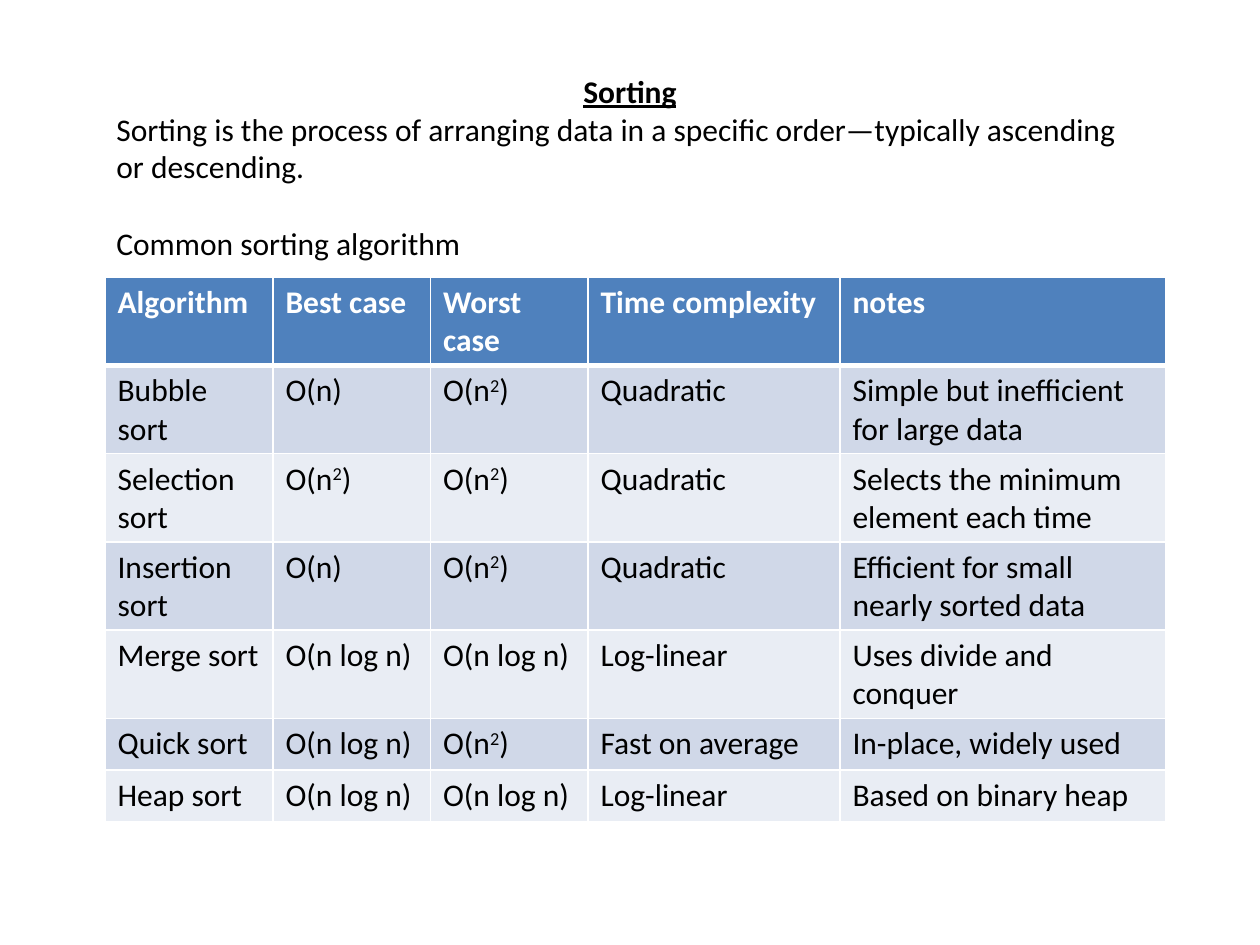
from lxml import etree
from pptx import Presentation
from pptx import util as u
from pptx.dml.color import RGBColor
from pptx.enum import text
from pptx.oxml.ns import qn

COLORS = {"ink": "000000", "paper": "FFFFFF", "header": "4F81BD",
          "odd": "D0D8E8", "even": "E9EDF4"}
FONT, SIZE = "Calibri", u.Pt(18)
UNIT = u.Inches(1) / 12
COLUMNS = [16, 15, 15, 24, 31]
ROW_HEIGHT = 4.9
DEFINITION = ("Sorting is the process of arranging data in a specific "
              "order—typically ascending or descending.")
ALGORITHMS = [
    ["Algorithm", "Best case", "Worst case", "Time complexity", "notes"],
    ["Bubble sort", "O(n)", "O(n^2^)", "Quadratic",
     "Simple but inefficient for large data"],
    ["Selection sort", "O(n^2^)", "O(n^2^)", "Quadratic",
     "Selects the minimum element each time"],
    ["Insertion sort", "O(n)", "O(n^2^)", "Quadratic",
     "Efficient for small nearly sorted data"],
    ["Merge sort", "O(n log n)", "O(n log n)", "Log-linear",
     "Uses divide and conquer"],
    ["Quick sort", "O(n log n)", "O(n^2^)", "Fast on average",
     "In-place, widely used"],
    ["Heap sort", "O(n log n)", "O(n log n)", "Log-linear",
     "Based on binary heap"],
]


def grid(*cells):
    """Turn grid counts into slide lengths."""
    return [u.Emu(round(cell * UNIT)) for cell in cells]


def add_words(paragraph, words, color="ink", bold=False, underline=False):
    """Add runs, raising the parts held between carets."""
    for index, part in enumerate(words.split("^")):
        run = paragraph.add_run()
        run.text = part
        run.font.name, run.font.size = FONT, SIZE
        run.font.bold, run.font.underline = bold, underline
        run.font.color.rgb = RGBColor.from_string(COLORS[color])
        if index % 2:
            run._r.get_or_add_rPr().set("baseline", "30000")


def add_border(cell, edge, points):
    """Draw one white edge of a cell."""
    line = etree.SubElement(cell._tc.get_or_add_tcPr(), qn(f"a:ln{edge}"),
                            w=str(u.Pt(points)))
    fill = etree.SubElement(line, qn("a:solidFill"))
    etree.SubElement(fill, qn("a:srgbClr"), val=COLORS["paper"])


def add_introduction(slide, box):
    """Place the heading, the definition and the table's lead-in."""
    frame = slide.shapes.add_textbox(*grid(*box)).text_frame
    frame.word_wrap = True
    heading = frame.paragraphs[0]
    heading.alignment = text.PP_ALIGN.CENTER
    add_words(heading, "Sorting", bold=True, underline=True)
    add_words(frame.add_paragraph(), DEFINITION)
    lead_in = frame.add_paragraph()
    lead_in.space_before = u.Pt(22)
    add_words(lead_in, "Common sorting algorithm")


def add_comparison(slide, box):
    """Place the table of algorithms in the given box."""
    table = slide.shapes.add_table(len(ALGORITHMS), len(COLUMNS),
                                   *grid(*box)).table
    for column, width in zip(table.columns, grid(*COLUMNS)):
        column.width = width
    for row_index, entries in enumerate(ALGORITHMS):
        is_header = row_index == 0
        band = "header" if is_header else ("even", "odd")[row_index % 2]
        for column_index, entry in enumerate(entries):
            cell = table.cell(row_index, column_index)
            for edge in "LRTB":
                heavy = (edge == "B" and is_header) or (
                    edge == "T" and row_index == 1)
                add_border(cell, edge, 3 if heavy else 1)
            cell.fill.solid()
            cell.fill.fore_color.rgb = RGBColor.from_string(COLORS[band])
            add_words(cell.text_frame.paragraphs[0], entry,
                      "paper" if is_header else "ink", bold=is_header)


def main():
    """Build and save the sorting slide."""
    deck = Presentation()
    deck.slide_width, deck.slide_height = grid(120, 90)
    slide = deck.slides.add_slide(deck.slide_layouts[6])
    add_introduction(slide, (9.9, 6.25, 100.2, 22.2))
    add_comparison(slide, (10, 26.4, sum(COLUMNS),
                           ROW_HEIGHT * len(ALGORITHMS)))
    deck.save("out.pptx")


if __name__ == "__main__":
    main()
